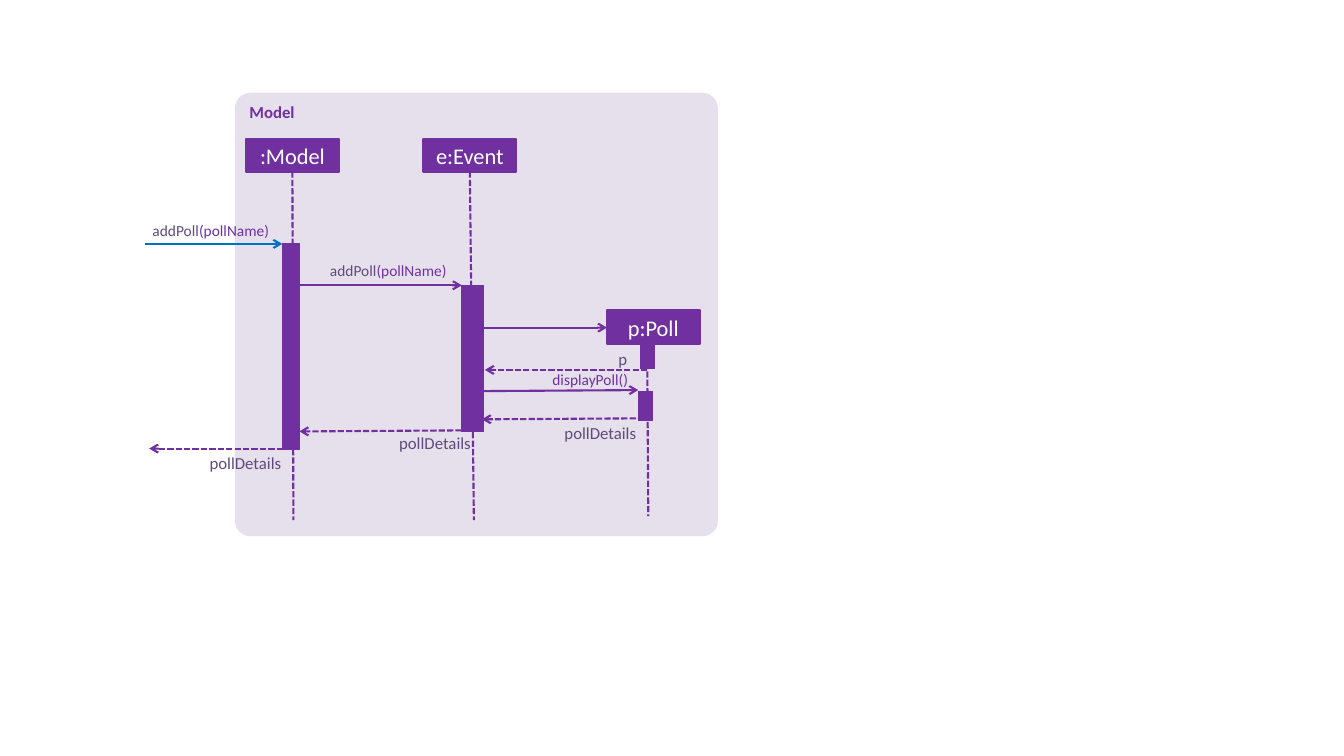
import pptx
import pptx.dml.color
import pptx.enum.dml
import pptx.enum.shapes
import pptx.enum.text
import pptx.oxml
import pptx.util
import lxml.etree

Inches = pptx.util.Inches
Pt = pptx.util.Pt
SHAPES = pptx.enum.shapes.MSO_SHAPE
ALIGN = pptx.enum.text.PP_ALIGN
ANCHOR = pptx.enum.text.MSO_ANCHOR
PURPLE, MUTED, BLUE = "7030A0", "604A7B", "0070C0"
WHITE, LAVENDER = "FFFFFF", "E6E0EC"

presentation = pptx.Presentation()
presentation.slide_width = Inches(13.33)
presentation.slide_height = Inches(7.5)
slide = presentation.slides.add_slide(presentation.slide_layouts[6])


def color(value):
    return pptx.dml.color.RGBColor.from_string(value)


def write_text(shape, *runs, size, align, anchor=ANCHOR.TOP, bold=False, margin=None):
    """Fill a shape with one paragraph made of (text, colour) runs."""
    frame = shape.text_frame
    frame.word_wrap = True
    frame.vertical_anchor = anchor
    if margin is not None:
        frame.margin_left = frame.margin_right = Inches(margin)
        frame.margin_top = frame.margin_bottom = Inches(margin)
    paragraph = frame.paragraphs[0]
    paragraph.alignment = align
    for text, text_color in runs:
        run = paragraph.add_run()
        run.text = text
        run.font.name = "Calibri"
        run.font.size = Pt(size)
        run.font.bold = bold
        run.font.color.rgb = color(text_color)


# Package frame
package_frame = slide.shapes.add_shape(
    SHAPES.ROUNDED_RECTANGLE, Inches(2.33), Inches(0.92), Inches(4.79), Inches(4.4))
package_frame.adjustments[0] = 0.035
package_frame.shadow.inherit = False
package_frame.fill.solid()
package_frame.fill.fore_color.rgb = color(LAVENDER)
package_frame.line.fill.background()
write_text(package_frame, ("Model", PURPLE), size=12, align=ALIGN.LEFT, bold=True)

# Lifelines, messages and returns: x1, y1, x2, y2, colour, dashed, arrow at end
lines = [
    (2.9, 1.7, 2.91, 5.16, PURPLE, True, False),
    (4.66, 1.7, 4.7, 5.16, PURPLE, True, False),
    (6.42, 3.6, 6.43, 5.12, PURPLE, True, False),
    (1.44, 2.42, 2.8, 2.42, BLUE, False, True),
    (2.97, 2.83, 4.58, 2.83, PURPLE, False, True),
    (4.8, 3.25, 6.02, 3.25, PURPLE, False, True),
    (4.8, 3.88, 6.33, 3.87, PURPLE, False, True),
    (6.42, 3.67, 4.81, 3.67, PURPLE, True, True),
    (6.39, 4.15, 4.78, 4.16, PURPLE, True, True),
    (4.58, 4.27, 2.97, 4.28, PURPLE, True, True),
    (2.89, 4.45, 1.48, 4.45, PURPLE, True, True),
]
for x1, y1, x2, y2, line_color, dashed, arrow in lines:
    connector = slide.shapes.add_connector(
        pptx.enum.shapes.MSO_CONNECTOR.STRAIGHT,
        Inches(x1), Inches(y1), Inches(x2), Inches(y2))
    connector.line.color.rgb = color(line_color)
    connector.line.width = Pt(1.5)
    if dashed:
        connector.line.dash_style = pptx.enum.dml.MSO_LINE.SQUARE_DOT
    if arrow:
        tail = lxml.etree.SubElement(
            connector.line._get_or_add_ln(), pptx.oxml.ns.qn("a:tailEnd"))
        tail.set("type", "arrow")
    lxml.etree.SubElement(connector._element.spPr, pptx.oxml.ns.qn("a:effectLst"))

# Activation bars, then object boxes: left, top, width, height, line width, name
boxes = [
    (2.8, 2.42, 0.17, 2.04, 0.75, ""),
    (4.58, 2.83, 0.22, 1.45, 0.75, ""),
    (6.35, 3.4, 0.14, 0.26, 0.75, ""),
    (6.33, 3.88, 0.14, 0.29, 0.75, ""),
    (2.44, 1.38, 0.92, 0.33, 1.5, ":Model"),
    (4.2, 1.38, 0.92, 0.33, 1.5, "e:Event"),
    (6.02, 3.08, 0.92, 0.33, 1.5, "p:Poll"),
]
for left, top, width, height, line_width, name in boxes:
    box = slide.shapes.add_shape(
        SHAPES.RECTANGLE, Inches(left), Inches(top), Inches(width), Inches(height))
    box.shadow.inherit = False
    box.fill.solid()
    box.fill.fore_color.rgb = color(PURPLE)
    box.line.color.rgb = color(PURPLE)
    box.line.width = Pt(line_width)
    if name:
        write_text(box, (name, WHITE), size=16, align=ALIGN.CENTER, anchor=ANCHOR.MIDDLE)

# Message labels: left, top, width, size, runs
add_poll = [("addPoll", MUTED), ("(pollName)", PURPLE)]
poll_details = [("pollDetails", MUTED)]
labels = [
    (1.13, 2.19, 1.54, 11, add_poll),
    (2.89, 2.59, 1.54, 11, add_poll),
    (4.69, 3.67, 1.54, 11, [("displayPoll()", PURPLE)]),
    (6.08, 3.46, 0.14, 12, [("p", MUTED)]),
    (5.24, 4.19, 1.07, 12, poll_details),
    (3.6, 4.29, 1.07, 12, poll_details),
    (1.72, 4.49, 1.07, 12, poll_details),
]
for left, top, width, size, runs in labels:
    label = slide.shapes.add_textbox(
        Inches(left), Inches(top), Inches(width), Inches(0.2))
    write_text(label, *runs, size=size, align=ALIGN.RIGHT, margin=0)

presentation.save("out.pptx")
